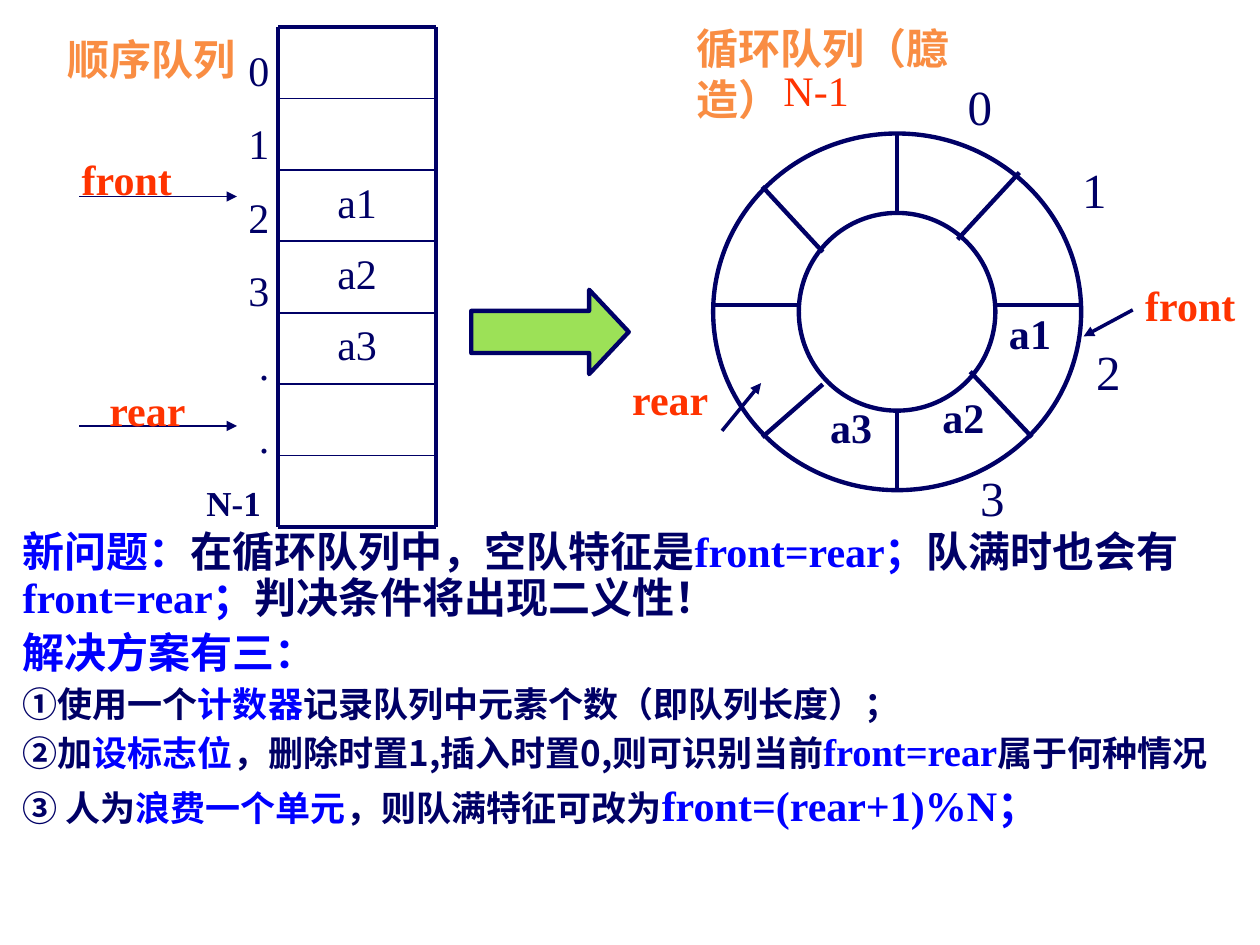
from lxml.etree import SubElement
from pptx import Presentation
from pptx.dml.color import RGBColor
from pptx.enum.shapes import MSO_CONNECTOR as Connector, MSO_SHAPE as Shape
from pptx.enum.text import MSO_AUTO_SIZE as AutoSize, PP_ALIGN as Align
from pptx.oxml.ns import qn
from pptx.util import Pt

COLORS = {"navy": "000066", "blue": "0000FF", "red": "FF3300",
          "orange": "F98D43", "green": "9CE157"}
SERIF = "Times New Roman"
SANS = "Noto Sans CJK SC"

ARRAY_LEFT, ARRAY_RIGHT, ARRAY_TOP = 159.1, 249.1, 15.5
ROW_HEIGHT, ROW_COUNT = 40.8, 7
INDEX_ROWS = [("0", 24), ("1", 24), ("2", 24), ("3", 24), (".", 30), (".", 30)]

SPOKES = [
    (568.8, 174.2, 617.8, 174.2), (407.5, 174.2, 456.5, 174.2),
    (512.6, 76.3, 512.6, 121.7), (512.6, 234.7, 512.6, 280.1),
    (435.6, 106.6, 470.2, 144), (554.4, 212.4, 589.7, 249.8),
    (582.5, 98.6, 547.2, 136.8), (470.2, 219.6, 435.6, 249.8),
]
RING_ELEMENTS = [("a3", 467.3, 226.1), ("a2", 531.4, 220.3), ("a1", 569.5, 172.1)]
RING_INDEXES = [("0", 545.8, 40.3), ("1", 611.3, 87.8),
                ("2", 619.2, 191.5), ("3", 553, 263.5)]
LABELS = [
    ("顺序队列", 31.7, 15.8, 110.2, "orange", True),
    ("front", 39.6, 84.2, 66.2, "red", True),
    ("rear", 55.4, 216, 58.3, "red", True),
    ("循环队列（臆造）", 391, 9.4, 205.9, "orange", True),
    ("N-1", 440.6, 33.1, 51.8, "red", False),
    ("rear", 354.2, 210.2, 58.3, "red", True),
    ("front", 647.3, 156.2, 66.2, "red", True),
]
POINTERS = [(45.4, 243.4, 135.4, 243.4, 0.75), (45.4, 112.3, 135.4, 112.3, 0.75),
            (412.6, 246.2, 434.9, 218.9, 2), (647.3, 177.1, 619.2, 192.2, 2)]

NOTES = [
    (0, [("新问题：", 24, SERIF, "blue"),
         ("在循环队列中，空队特征是", 24, SANS, "navy"),
         ("front=rear；", 24, SERIF, "blue"),
         ("队满时也会有", 24, SANS, "navy"),
         ("front=rear；", 24, SERIF, "blue"),
         ("判决条件将出现二义性！", 24, SANS, "navy")]),
    (6, [("解决方案有三：", 24, SERIF, "blue")]),
    (5, [("①使用一个", 20, SERIF, "navy"),
         ("计数器", 20, SERIF, "blue"),
         ("记录队列中元素个数（即队列长度）；", 20, SERIF, "navy")]),
    (5, [("②加", 20, SERIF, "navy"),
         ("设标志位", 20, SERIF, "blue"),
         ("，", 20, SERIF, "navy"),
         ("删除时置1,插入时置0,则可识别当前", 20, SANS, "navy"),
         ("front=rear", 22, SERIF, "blue"),
         ("属于何种情况", 20, SANS, "navy")]),
    (6, [("③ 人为", 20, SERIF, "navy"),
         ("浪费一个单元", 20, SERIF, "blue"),
         ("，则队满特征可改为", 20, SERIF, "navy"),
         ("front=(rear+1)%N；", 24, SERIF, "blue")]),
]


def rgb(name):
    return RGBColor.from_string(COLORS[name])


def format_run(run, size, color, bold=False, font=SERIF):
    run.font.size = Pt(size)
    run.font.bold = bold
    run.font.name = font
    run.font.color.rgb = rgb(color)
    SubElement(run._r.get_or_add_rPr(), qn("a:ea"), typeface=SANS)


def add_text_box(slide, left, top, width, height, wrap=True):
    shape = slide.shapes.add_textbox(Pt(left), Pt(top), Pt(width), Pt(height))
    shape.text_frame.word_wrap = wrap
    return shape.text_frame


def add_label(slide, text, left, top, width, height=36, size=24,
              color="navy", bold=False):
    text_frame = add_text_box(slide, left, top, width, height, wrap=False)
    text_frame.auto_size = AutoSize.SHAPE_TO_FIT_TEXT
    text_frame.text = text
    format_run(text_frame.paragraphs[0].runs[0], size, color, bold)


def add_shape(slide, kind, left, top, width, height, fill=None):
    shape = slide.shapes.add_shape(kind, Pt(left), Pt(top), Pt(width), Pt(height))
    shape.shadow.inherit = False
    if fill:
        shape.fill.solid()
        shape.fill.fore_color.rgb = rgb(fill)
    else:
        shape.fill.background()
    shape.line.color.rgb = rgb("navy")
    shape.line.width = Pt(2.5)
    return shape


def add_line(slide, x1, y1, x2, y2, width, arrow=False):
    connector = slide.shapes.add_connector(
        Connector.STRAIGHT, Pt(x1), Pt(y1), Pt(x2), Pt(y2))
    connector.line.color.rgb = rgb("navy")
    connector.line.width = Pt(width)
    if arrow:
        SubElement(connector.line._get_or_add_ln(), qn("a:tailEnd"), type="triangle")
    SubElement(connector._element.spPr, qn("a:effectLst"))


def add_array(slide):
    bottom = ARRAY_TOP + ROW_COUNT * ROW_HEIGHT
    for row in range(ROW_COUNT + 1):
        y = ARRAY_TOP + row * ROW_HEIGHT
        width = 2.25 if row in (0, ROW_COUNT) else 1
        add_line(slide, ARRAY_LEFT, y, ARRAY_RIGHT, y, width)
    for x in (ARRAY_LEFT, ARRAY_RIGHT):
        add_line(slide, x, ARRAY_TOP, x, bottom, 2.25)
    for row, element in enumerate(("a1", "a2", "a3"), start=2):
        text_frame = add_text_box(slide, ARRAY_LEFT, ARRAY_TOP + row * ROW_HEIGHT,
                                  ARRAY_RIGHT - ARRAY_LEFT, ROW_HEIGHT)
        text_frame.text = element
        paragraph = text_frame.paragraphs[0]
        paragraph.alignment = Align.CENTER
        format_run(paragraph.runs[0], 24, "navy")


def add_array_indexes(slide):
    text_frame = add_text_box(slide, 110.9, 21.6, 54, 274.3)
    text_frame.text = "\n".join([text for text, _ in INDEX_ROWS] + ["N-1"])
    *indexes, last = text_frame.paragraphs
    for paragraph, (_, indent) in zip(indexes, INDEX_ROWS):
        paragraph._p.get_or_add_pPr().set("marL", str(Pt(indent)))
        format_run(paragraph.runs[0], 24, "navy")
    for paragraph in indexes[1:]:
        paragraph.space_before = Pt(13.2)
    last.space_before = Pt(11)
    format_run(last.runs[0], 20, "navy", bold=True)


def add_ring(slide):
    add_shape(slide, Shape.OVAL, 456.5, 121.7, 112.3, 113)
    add_shape(slide, Shape.OVAL, 407.5, 76.3, 210.3, 203.8)
    for spoke in SPOKES:
        add_line(slide, *spoke, 2.5)
    for text, left, top in RING_ELEMENTS:
        add_label(slide, text, left, top, 38.2, bold=True)
    for text, left, top in RING_INDEXES:
        add_label(slide, text, left, top, 28.1, height=41, size=28)


def add_notes_text(slide):
    text_frame = add_text_box(slide, 5.8, 300.2, 714.2, 180)
    for number, (space, pieces) in enumerate(NOTES):
        paragraph = text_frame.add_paragraph() if number else text_frame.paragraphs[0]
        paragraph.line_spacing = 0.9
        paragraph.space_before = Pt(space)
        for text, size, font, color in pieces:
            run = paragraph.add_run()
            run.text = text
            format_run(run, size, color, bold=True, font=font)


def main():
    presentation = Presentation()
    presentation.slide_width, presentation.slide_height = Pt(720), Pt(540)
    slide = presentation.slides.add_slide(presentation.slide_layouts[6])
    arrow = add_shape(slide, Shape.RIGHT_ARROW, 269.3, 165.6, 90, 48.2, "green")
    arrow.adjustments[1] = 0.47
    add_ring(slide)
    add_notes_text(slide)
    add_array(slide)
    add_array_indexes(slide)
    for pointer in POINTERS:
        add_line(slide, *pointer, arrow=True)
    for text, left, top, width, color, bold in LABELS:
        add_label(slide, text, left, top, width, color=color, bold=bold)
    presentation.save("out.pptx")


if __name__ == "__main__":
    main()
